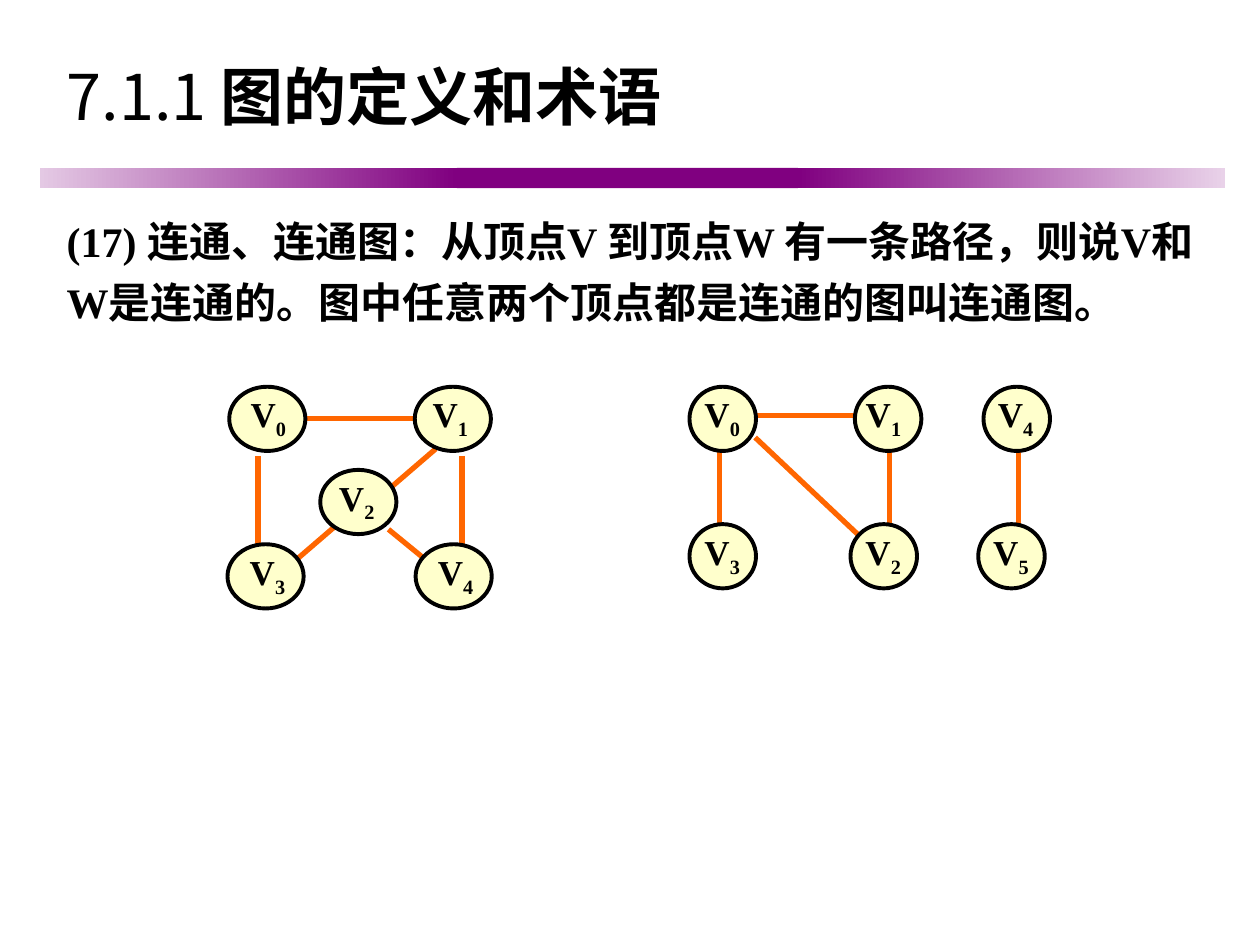
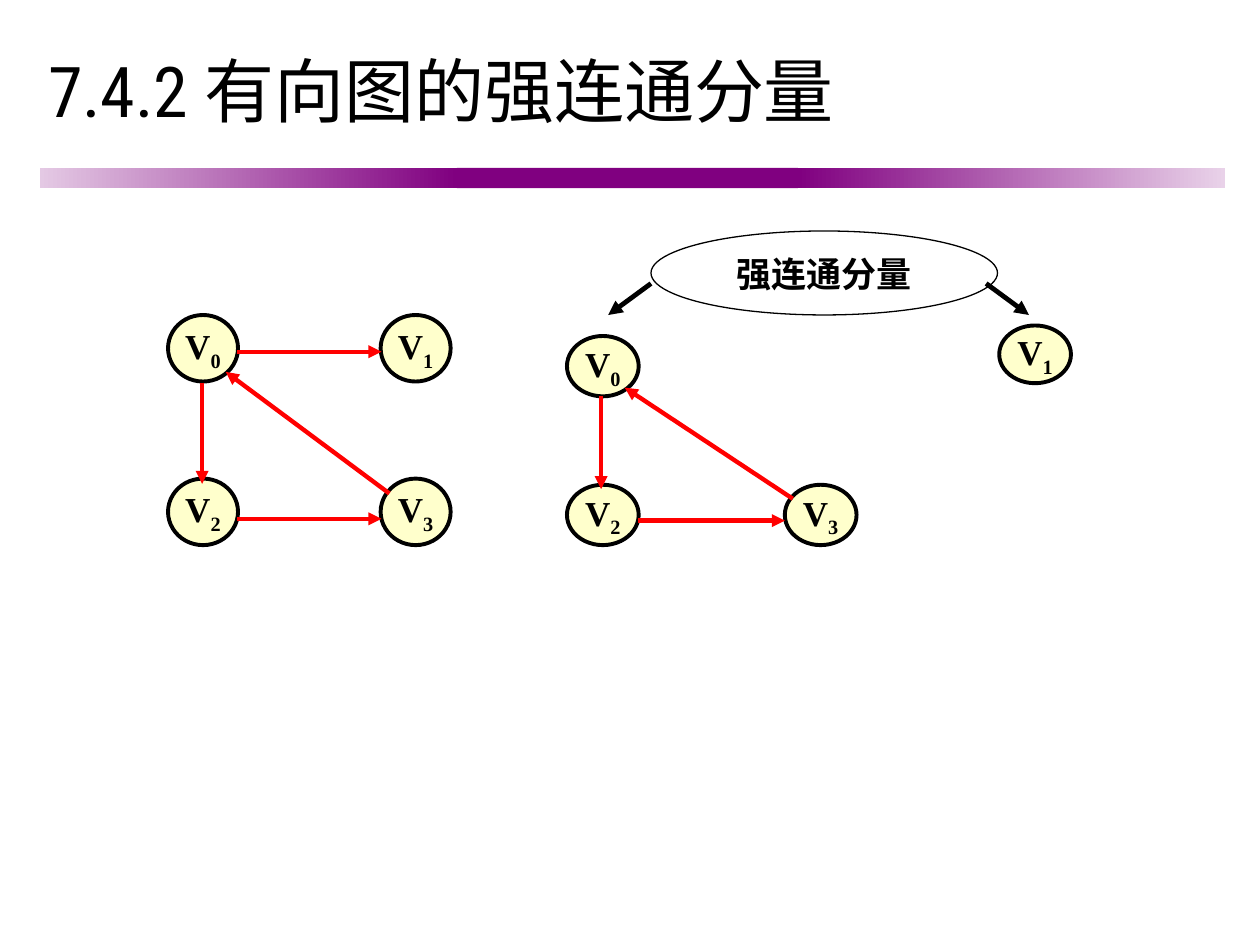
from pptx import Presentation
from pptx.dml.color import RGBColor
from pptx.enum.shapes import MSO_CONNECTOR, MSO_SHAPE
from pptx.enum.text import MSO_ANCHOR, PP_ALIGN
from pptx.oxml.ns import qn
from pptx.util import Pt
from lxml import etree

OVAL, RECT = MSO_SHAPE.OVAL, MSO_SHAPE.RECTANGLE
STRAIGHT = MSO_CONNECTOR.STRAIGHT
TOP, MIDDLE = MSO_ANCHOR.TOP, MSO_ANCHOR.MIDDLE
CENTER = PP_ALIGN.CENTER

BLACK = RGBColor(0x00, 0x00, 0x00)
CREAM = RGBColor(0xFF, 0xFF, 0xCC)
ORANGE = RGBColor(0xFF, 0x66, 0x00)
RED = RGBColor(0xFF, 0x00, 0x00)
PURPLE = RGBColor(0x80, 0x00, 0x80)
LILAC = RGBColor(0xE4, 0xC9, 0xE4)
PALE_LILAC = RGBColor(0xE9, 0xD2, 0xE9)

SERIF, SANS, CONDENSED = "Times New Roman", "Noto Sans CJK JP", "Roboto Condensed"


def add_run(paragraph, text, size, font=SERIF, bold=True, baseline=None):
    """Append one black run with its Latin and East Asian fonts."""
    run = paragraph.add_run()
    run.text = text
    run.font.size = Pt(size)
    run.font.name = font
    run.font.bold = bold
    run.font.color.rgb = BLACK
    properties = run.font._element
    etree.SubElement(properties, qn("a:ea")).set("typeface", SANS)
    if baseline:
        properties.set("baseline", str(baseline))


def add_vertex_name(paragraph, index):
    """Write V with its subscript index."""
    add_run(paragraph, "V", 20)
    add_run(paragraph, str(index), 20, baseline=-25000)


def add_text_area(slide, left, top, width, height, anchor=TOP, wrap=True):
    """Add an empty text area and return its text frame."""
    frame = slide.shapes.add_textbox(Pt(left), Pt(top), Pt(width), Pt(height)).text_frame
    frame.word_wrap = wrap
    frame.vertical_anchor = anchor
    return frame


def add_oval(slide, left, top, width, height, fill=CREAM, line_width=2.25):
    """Add a black-outlined oval and return its centred text frame."""
    oval = slide.shapes.add_shape(OVAL, Pt(left), Pt(top), Pt(width), Pt(height))
    oval.shadow.inherit = False
    if fill is None:
        oval.fill.background()
    else:
        oval.fill.solid()
        oval.fill.fore_color.rgb = fill
    oval.line.color.rgb = BLACK
    oval.line.width = Pt(line_width)
    frame = oval.text_frame
    frame.word_wrap = False
    frame.vertical_anchor = MIDDLE
    frame.paragraphs[0].alignment = CENTER
    return frame


def add_edges(slide, left, top, edges, color, width, arrow=False):
    """Draw straight edges whose ends are relative to left and top."""
    for x1, y1, x2, y2 in edges:
        edge = slide.shapes.add_connector(
            STRAIGHT, Pt(left + x1), Pt(top + y1), Pt(left + x2), Pt(top + y2))
        edge.line.color.rgb = color
        edge.line.width = Pt(width)
        if arrow:
            outline = edge.line._get_or_add_ln()
            etree.SubElement(outline, qn("a:tailEnd")).set("type", "triangle")
        etree.SubElement(edge._element.spPr, qn("a:effectLst"))


def add_band(slide, left, top, height):
    """Draw the purple band that fades out at both ends."""
    for width, start, end in ((238, LILAC, PURPLE), (195, PURPLE, PURPLE),
                              (244, PURPLE, PALE_LILAC)):
        part = slide.shapes.add_shape(RECT, Pt(left), Pt(top), Pt(width), Pt(height))
        part.shadow.inherit = False
        part.line.fill.background()
        if start == end:
            part.fill.solid()
            part.fill.fore_color.rgb = start
        else:
            part.fill.gradient()
            part.fill.gradient_angle = 0
            for stop, color in zip(part.fill.gradient_stops, (start, end)):
                stop.color.rgb = color
        left += width


def add_banded_slide(deck):
    """Add a blank slide with the shared band."""
    slide = deck.slides.add_slide(deck.slide_layouts[6])
    add_band(slide, 23, 96, 11.5)
    return slide


def add_undirected_graph(slide, left, top, size, indent, vertices, edges):
    """Draw orange edges, then vertices given as index, x, y and name shift."""
    width, height = size
    add_edges(slide, left, top, edges, ORANGE, 3)
    for index, x, y, shift in vertices:
        add_oval(slide, left + x, top + y, width, height)
        name = add_text_area(slide, left + x + shift, top + y, width + 17, 34.5)
        name.margin_left = Pt(7.2 + indent)
        add_vertex_name(name.paragraphs[0], index)


def add_directed_graph(slide, left, top, size, vertices, edges):
    """Draw vertices given as index, x and y, then red arrows."""
    for index, x, y in vertices:
        vertex = add_oval(slide, left + x, top + y, *size)
        add_vertex_name(vertex.paragraphs[0], index)
    add_edges(slide, left, top, edges, RED, 2.5, arrow=True)


def add_component_callout(slide, left, top, width, height):
    """Draw the oval naming the components, with an arrow to each."""
    callout = add_oval(slide, left, top, width, height, fill=None, line_width=0.75)
    callout.paragraphs[0].space_before = Pt(12.5)
    add_run(callout.paragraphs[0], "强连通分量", 20)
    arrows = [(0, 30, -24.5, height), (width - 6.5, 30, width + 18, height)]
    add_edges(slide, left, top, arrows, BLACK, 2.75, arrow=True)


def build_connectivity_slide(deck):
    """Define connected graphs, with one connected and one not."""
    slide = add_banded_slide(deck)
    title = add_text_area(slide, 31, 26, 652, 57.5, MIDDLE).paragraphs[0]
    add_run(title, "7.1.1 ", 36, SANS, bold=False)
    add_run(title, "图的定义和术语", 36, SANS)

    definition = add_text_area(slide, 31, 114, 663, 400).paragraphs[0]
    definition.line_spacing = 1.2
    definition.space_before = Pt(15)
    add_run(definition, "(17) 连通、连通图：从顶点V 到顶点W 有一条路径，则说V和W是连通的。"
                        "图中任意两个顶点都是连通的图叫连通图。", 24)

    add_undirected_graph(
        slide, 394, 221, (38, 36.7), 5,
        [(0, 0, 0, -3.6), (2, 92, 78.5, -3.6), (3, 0, 78.5, -3.6),
         (1, 94.5, 0, -6), (5, 165, 78.5, -3.6), (4, 168, 0, -4)],
        [(37.5, 29, 100, 88), (17, 36, 17, 82), (38, 16.5, 98, 16.5),
         (114.5, 36, 114.5, 82), (188, 32.5, 188, 78.5)])
    add_undirected_graph(
        slide, 130, 221, (43.5, 36.7), 10,
        [(0, 1, 0, -5), (4, 107.5, 90, -4.5), (3, 0, 90, -4.5),
         (1, 107, 0, -7), (2, 53, 47.5, -6.5)],
        [(17.5, 39.5, 17.5, 91.5), (43, 18, 114, 18), (134, 39.5, 134, 91.5),
         (63, 78.5, 38, 100), (119, 35.5, 94, 57), (92, 81.5, 114, 99.5)])


def build_components_slide(deck):
    """Show a directed graph beside its strongly connected components."""
    slide = add_banded_slide(deck)
    heading = add_text_area(slide, 21.5, 24, 479, 54, wrap=False)
    heading.margin_left = heading.margin_right = Pt(6)
    heading.margin_top = heading.margin_bottom = Pt(3)
    add_run(heading.paragraphs[0], "7.4.2 有向图的强连通分量", 40, CONDENSED, bold=False)

    add_component_callout(slide, 372, 132, 198, 48)
    add_directed_graph(
        slide, 96, 180, (40, 38),
        [(1, 121.5, 0), (3, 121.5, 93.5), (0, 0, 0), (2, 0, 93.5)],
        [(39.5, 21, 122, 21), (39.5, 116.5, 122, 116.5),
         (19.5, 39, 19.5, 96.5), (126.5, 102, 33, 32.5)])
    add_directed_graph(
        slide, 324, 192, (41, 34.5),
        [(3, 124.5, 85), (0, 0, 0), (2, 0, 85)],
        [(40.5, 105.5, 124.5, 105.5), (19.5, 34.5, 19.5, 87.5), (129, 93, 33, 29.5)])
    add_directed_graph(slide, 571, 186, (41, 33), [(1, 0, 0)], [])


def main():
    """Build the deck and save it."""
    deck = Presentation()
    deck.slide_width, deck.slide_height = Pt(720), Pt(540)
    build_connectivity_slide(deck)
    build_components_slide(deck)
    deck.save("out.pptx")


if __name__ == "__main__":
    main()
